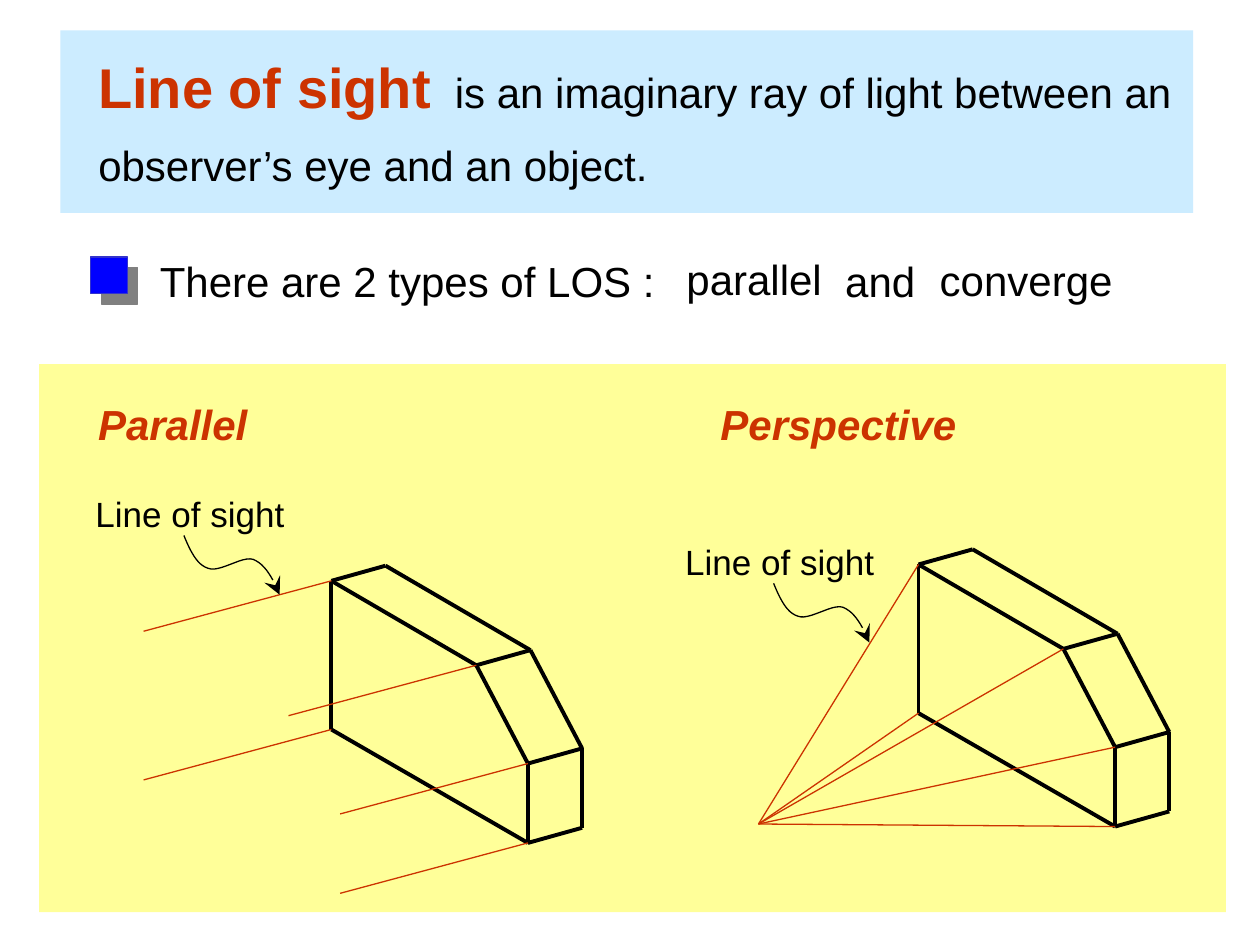
from pptx import Presentation
from pptx.dml.color import RGBColor
from pptx.enum.shapes import MSO_CONNECTOR, MSO_SHAPE
from pptx.enum.text import MSO_ANCHOR, MSO_AUTO_SIZE, PP_ALIGN
from pptx.oxml.ns import qn
from pptx.util import Inches, Pt
from lxml.etree import SubElement

COLORS = {"ink": "000000", "red": "CC3300", "sky": "CCECFF", "cream": "FFFF99",
          "blue": "0000FF", "edge": "3333CC", "gray": "808080"}
FRONT = [(0, 0), (1.15, 0.67), (1.56, 1.45), (1.56, 2.08), (0, 1.18)]
DEPTH = (0.43, -0.12)
WAVE = [[(1.56, 0.99), (1.51, 0.87), (1.45, 0.75), (1.35, 0.71)],
        [(1.35, 0.71), (1.26, 0.68), (1.08, 0.82), (0.99, 0.78)],
        [(0.99, 0.78), (0.9, 0.75), (0.85, 0.64), (0.8, 0.52)]]


def shift(point, by):
    return point[0] + by[0], point[1] + by[1]


def bezier(curve, t):
    weights = ((1 - t) ** 3, 3 * t * (1 - t) ** 2, 3 * t * t * (1 - t), t ** 3)
    return tuple(sum(w * p[axis] for w, p in zip(weights, curve)) for axis in (0, 1))


class Canvas:
    font = "Arial"

    def __init__(self, slide):
        self.slide = slide
        self.shapes = slide.shapes

    def color(self, name):
        return RGBColor.from_string(COLORS[name])

    def rect(self, box, fill, line=None):
        shape = self.shapes.add_shape(MSO_SHAPE.RECTANGLE, *map(Inches, box))
        shape.shadow.inherit = False
        shape.fill.solid()
        shape.fill.fore_color.rgb = self.color(fill)
        if line:
            shape.line.color.rgb = self.color(line)
            shape.line.width = Pt(0.75)
        else:
            shape.line.fill.background()
        return shape

    def bullet(self, box):
        shape = self.rect(box, "blue", "edge")
        effects = shape._element.spPr.find(qn("a:effectLst"))
        shadow = SubElement(effects, qn("a:outerShdw"), dist=str(Pt(8.5)),
                            dir="2700000", algn="ctr", rotWithShape="0")
        SubElement(shadow, qn("a:srgbClr"), val=COLORS["gray"])

    def frame(self, shape):
        frame = shape.text_frame
        frame.word_wrap = True
        frame.auto_size = MSO_AUTO_SIZE.SHAPE_TO_FIT_TEXT
        frame.vertical_anchor = MSO_ANCHOR.TOP
        return frame

    def style(self, font, size, color="ink", strong=False):
        font.name = self.font
        font.size = Pt(size)
        font.bold = strong
        font.color.rgb = self.color(color)

    def title(self, box, term, rest, last):
        title = self.shapes.title
        self.shapes._spTree.append(title._element)
        title.left, title.top, title.width, title.height = map(Inches, box)
        frame = self.frame(title)
        first = frame.paragraphs[0]
        first.text = term
        first.add_run().text = "  "
        first.add_run().text = rest
        frame.add_paragraph().text = last
        for par in frame.paragraphs:
            par.alignment = PP_ALIGN.LEFT
            par.line_spacing = 1.4
            for run in par.runs:
                self.style(run.font, 24)
        self.style(first.runs[0].font, 32, "red", True)

    def text(self, box, words, size=24, spacing=1.4):
        frame = self.frame(self.shapes.add_textbox(*map(Inches, box)))
        frame.text = words
        par = frame.paragraphs[0]
        par.line_spacing = spacing
        self.style(par.runs[0].font, size)
        return par.runs[0].font

    def heading(self, box, words):
        font = self.text(box, words, spacing=1)
        self.style(font, 24, "red", True)
        font.italic = True

    def line(self, start, end, color, width):
        line = self.shapes.add_connector(MSO_CONNECTOR.STRAIGHT,
                                         *map(Inches, start + end))
        line.line.color.rgb = self.color(color)
        line.line.width = Pt(width)
        SubElement(line._element.spPr, qn("a:effectLst"))

    def solid(self, origin):
        front = [shift(p, origin) for p in FRONT]
        back = [shift(p, DEPTH) for p in front[:4]]
        edges = list(zip(front, front[1:] + front[:1]))
        edges += list(zip(back, back[1:])) + list(zip(front, back))
        for start, end in edges:
            self.line(start, end, "ink", 2.25)
        return front

    def label(self, left, top):
        steps = [bezier(curve, i / 12) for curve in WAVE for i in range(13)]
        points = [tuple(map(Inches, shift(p, (left, top)))) for p in steps]
        builder = self.shapes.build_freeform(*points[0])
        builder.add_line_segments(points[1:], close=False)
        wave = builder.convert_to_shape()
        wave.shadow.inherit = False
        wave.fill.background()
        wave.line.color.rgb = self.color("ink")
        wave.line.width = Pt(0.75)
        SubElement(wave.line._get_or_add_ln(), qn("a:headEnd"),
                   type="stealth", w="lg", len="lg")
        self.text((left, top, 1.8, 0.57), "Line of sight", 20)


def main():
    deck = Presentation()
    deck.slide_width, deck.slide_height = Inches(10), Inches(7.5)
    page = Canvas(deck.slides.add_slide(deck.slide_layouts[5]))

    page.rect((0.31, 2.89, 9.42, 4.35), "cream")
    page.rect((0.48, 0.24, 8.99, 1.45), "sky")
    page.title((0.68, 0.15, 8.82, 1.41), "Line of sight",
               "is an imaginary ray of light between an",
               "observer’s eye and an object.")

    page.bullet((0.72, 2.04, 0.29, 0.29))
    for left, top, width, words in [(1.17, 1.82, 4.2, "There are 2 types of LOS :"),
                                    (5.35, 1.8, 1.37, "parallel"),
                                    (6.61, 1.82, 0.85, "and"),
                                    (7.36, 1.81, 1.67, "converge")]:
        page.text((left, top, width, 0.66), words)

    page.heading((0.68, 3.11, 1.5, 0.5), "Parallel")
    for point in page.solid((2.63, 4.61)):
        page.line(point, shift(point, (-1.49, 0.4)), "red", 0.75)
    page.label(0.66, 3.73)

    page.heading((5.62, 3.11, 2.2, 0.5), "Perspective")
    eye = (6.02, 6.54)
    for point in page.solid((7.29, 4.48)):
        page.line(point, eye, "red", 0.75)
    page.label(5.34, 4.11)

    deck.save("out.pptx")


if __name__ == "__main__":
    main()
